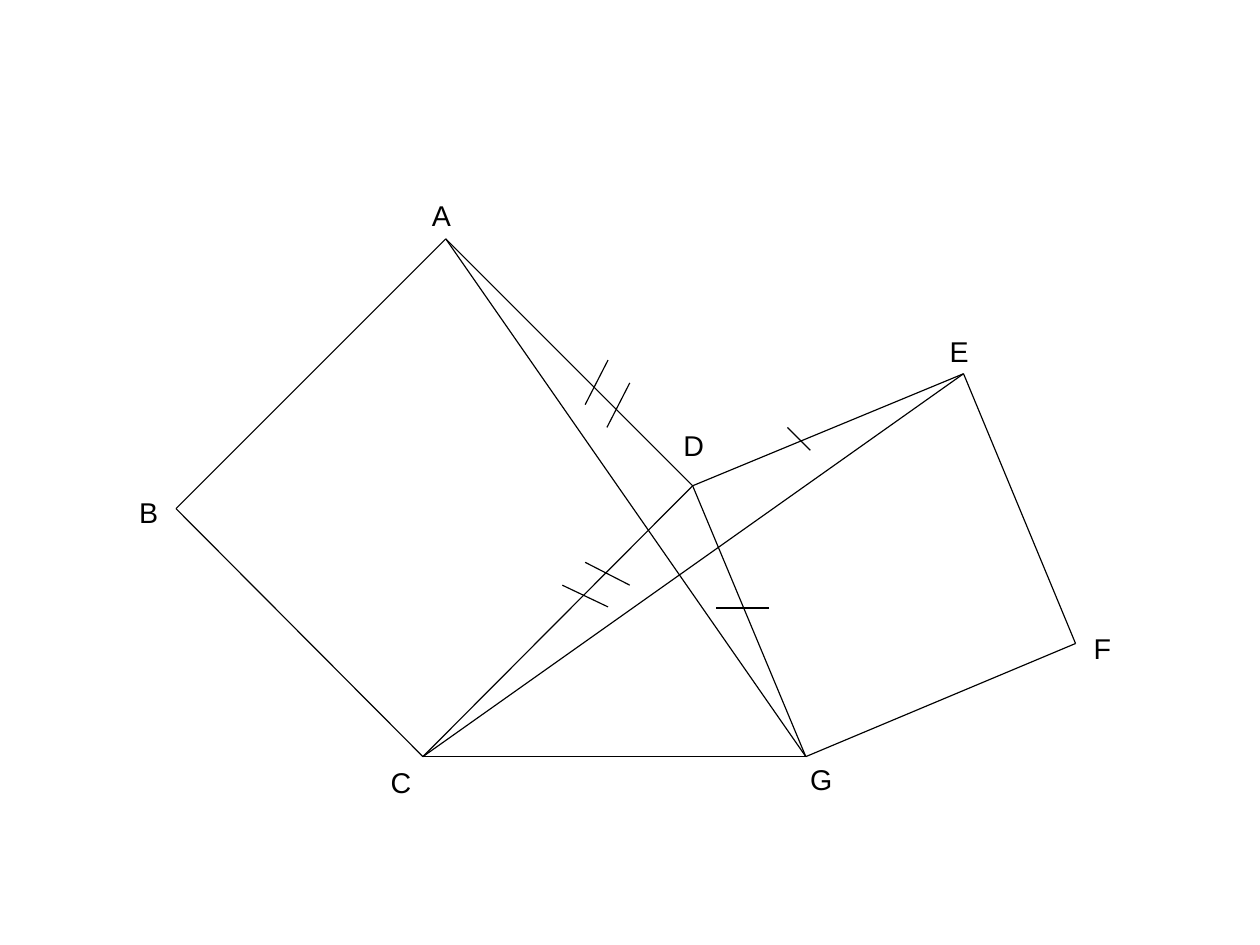
from pptx import Presentation
from pptx.dml.color import RGBColor
from pptx.enum import shapes, text
from pptx.oxml.ns import qn
from pptx.util import Inches, Pt
from lxml import etree

BLACK = RGBColor(0x00, 0x00, 0x00)

# The page measures 28 by 21 centimetres
CM_PER_INCH = 2.54
PAGE_WIDTH = Inches(28 / CM_PER_INCH)
PAGE_HEIGHT = Inches(21 / CM_PER_INCH)

POINTS = {
    "A": (3.9, 2.09),
    "B": (1.54, 4.45),
    "C": (3.7, 6.62),
    "D": (6.06, 4.25),
    "E": (8.43, 3.27),
    "F": (9.41, 5.63),
    "G": (7.05, 6.62),
}

# Two squares sharing corner D, the triangle base, and the two long segments
SEGMENTS = ["DC", "DG", "CG", "DA", "CB", "BA", "DE", "GF", "EF", "AG", "CE"]

# Left, top and width of each vertex label
LABELS = {
    "A": (3.68, 1.69, 0.36),
    "B": (1.12, 4.29, 0.36),
    "C": (3.32, 6.65, 0.38),
    "D": (5.88, 3.7, 0.38),
    "E": (8.21, 2.88, 0.36),
    "F": (9.47, 5.48, 0.35),
    "G": (6.99, 6.62, 0.39),
}
LABEL_HEIGHT = 0.38

# Tick marks on equal sides: one for DE = DG, two for DA = DC
TICKS = [
    ((6.89, 3.74), (7.09, 3.94)),
    ((6.73, 5.32), (6.26, 5.32)),
    ((5.32, 3.15), (5.12, 3.54)),
    ((4.92, 5.12), (5.32, 5.31)),
    ((5.51, 3.35), (5.31, 3.74)),
    ((5.12, 4.92), (5.51, 5.12)),
]


def set_all(target, values):
    for name, value in values.items():
        setattr(target, name, value)


def add_line(page, start, end):
    ends = [Inches(value) for value in (*start, *end)]
    line = page.shapes.add_connector(shapes.MSO_CONNECTOR.STRAIGHT, *ends)
    line.line.color.rgb = BLACK
    line.line.width = Pt(0.75)
    etree.SubElement(line._element.spPr, qn("a:effectLst"))


def add_label(page, letter, left, top, width):
    box = page.shapes.add_textbox(
        Inches(left), Inches(top), Inches(width), Inches(LABEL_HEIGHT))
    set_all(box.text_frame, {
        "margin_left": Inches(0.1),
        "margin_top": Inches(0.07),
        "margin_right": Inches(0.1),
        "margin_bottom": Inches(0.05),
        "word_wrap": False,
        "vertical_anchor": text.MSO_ANCHOR.TOP,
    })
    para = box.text_frame.paragraphs[0]
    set_all(para, {"alignment": text.PP_ALIGN.LEFT, "line_spacing": 0.93})
    span = para.add_run()
    span.text = letter
    set_all(span.font, {"name": "Arial", "size": Pt(18)})
    span.font.color.rgb = BLACK


def main():
    deck = Presentation()
    deck.slide_width = PAGE_WIDTH
    deck.slide_height = PAGE_HEIGHT
    page = deck.slides.add_slide(deck.slide_layouts[6])

    # Sides and long segments
    for start, end in SEGMENTS:
        add_line(page, POINTS[start], POINTS[end])

    # Vertex letters
    for letter, place in LABELS.items():
        add_label(page, letter, *place)

    # Equal-side marks
    for start, end in TICKS:
        add_line(page, start, end)

    deck.save("out.pptx")


if __name__ == "__main__":
    main()
